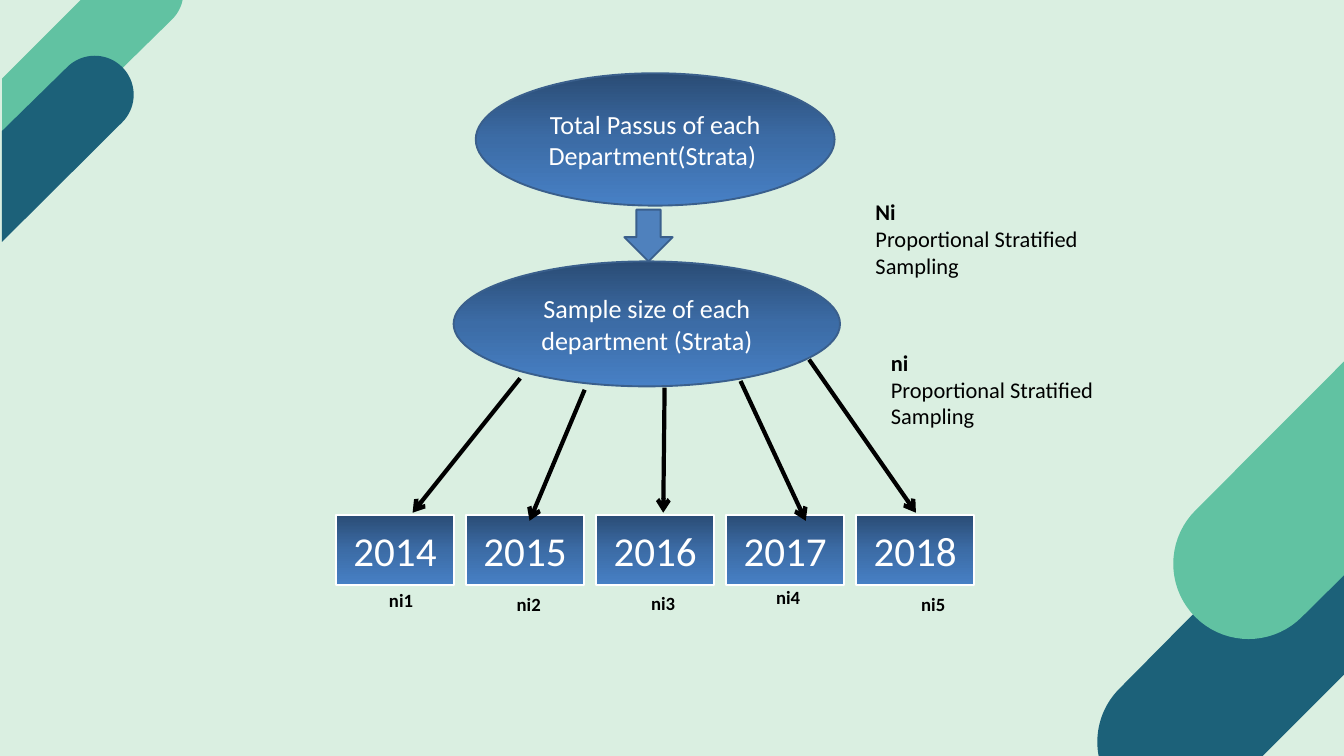
from copy import deepcopy
from math import cos, radians, sin

from pptx import Presentation
from pptx.dml.color import RGBColor
from pptx.enum.shapes import MSO_CONNECTOR, MSO_SHAPE
from pptx.enum.text import MSO_ANCHOR as ANCHOR, PP_ALIGN as ALIGN
from pptx.oxml.ns import qn
from pptx.util import Inches, Pt

MINT = RGBColor(0xDA, 0xEF, 0xE1)
GREEN = RGBColor(0x61, 0xC2, 0xA2)
TEAL = RGBColor(0x1C, 0x61, 0x79)
BLUE = RGBColor(0x4F, 0x81, 0xBD)
OUTLINE = RGBColor(0x3A, 0x5F, 0x8C)
SHADES = [RGBColor(0x2A, 0x4C, 0x75), RGBColor(0x3C, 0x6C, 0xA6), RGBColor(0x47, 0x80, 0xC5)]
WHITE = RGBColor(0xFF, 0xFF, 0xFF)
BLACK = RGBColor(0, 0, 0)

deck = Presentation()
deck.slide_width, deck.slide_height = Inches(20), Inches(11.25)
CELL = deck.slide_width // 20  # square grid: 20 columns, 11.25 rows
slide = deck.slides.add_slide(deck.slide_layouts[6])
slide.background.fill.solid()
slide.background.fill.fore_color.rgb = MINT
shapes = slide.shapes


def cells(*values):
    return [round(value * CELL) for value in values]


def write(frame, lines, **font_format):
    """Put (text, bold) lines into the frame, one paragraph each."""
    for index, (text, bold) in enumerate(lines):
        paragraph = frame.paragraphs[0] if index == 0 else frame.add_paragraph()
        run = paragraph.add_run()
        run.text = text
        run.font.color.rgb = font_format["color"]
        for name, value in {"name": "Calibri", "size": Pt(font_format["size"]), "bold": bold}.items():
            setattr(run.font, name, value)


# Diagonal bands: colour, centre and radius of the round end, arc angles, corners at the slide edge
bands = [
    (TEAL, 17.45, 11.04, 1.12, 169, 225, [(20, 6.87), (20, 10.04), (18.79, 11.25), (16.35, 11.25)]),
    (GREEN, 18.58, 8.39, 1.12, 45, 225, [(20, 5.38), (20, 8.56)]),
    (GREEN, 2.15, -0.12, 0.58, 12, 45, [(0.03, 2.77), (0.03, 1.17), (1.2, 0), (2.72, 0)]),
    (TEAL, 1.41, 1.41, 0.58, 225, 405, [(0.03, 3.6), (0.03, 1.95)]),
]
ARC_STEPS = 36
for color, x, y, radius, start, stop, corners in bands:
    angles = [radians(start + (stop - start) * step / ARC_STEPS) for step in range(ARC_STEPS + 1)]
    arc = [(x + radius * cos(angle), y + radius * sin(angle)) for angle in angles]
    # The last two bands list their corners in the order that follows the arc end
    outline = [cells(*point) for point in arc + corners]
    builder = shapes.build_freeform(*outline[0])
    builder.add_line_segments(outline[1:], close=True)
    band = builder.convert_to_shape()
    band.shadow.inherit = False
    band.fill.solid()
    band.fill.fore_color.rgb = color
    band.line.fill.background()

down_arrow = shapes.add_shape(MSO_SHAPE.DOWN_ARROW, *cells(9.29, 3.12, 0.72, 0.77))
down_arrow.shadow.inherit = False
down_arrow.fill.solid()
down_arrow.fill.fore_color.rgb = BLUE
down_arrow.line.color.rgb = OUTLINE
down_arrow.line.width = Pt(2)

# Year boxes and strata ellipses
FIRST_YEAR, YEARS = 2014, 5
YEAR_LEFT, YEAR_PITCH = 5, (12.74 - 5) / (YEARS - 1)
nodes = [
    (MSO_SHAPE.RECTANGLE, (YEAR_LEFT + YEAR_PITCH * index, 7.66, 1.76, 1.05),
     str(FIRST_YEAR + index), 44, WHITE)
    for index in range(YEARS)
] + [
    (MSO_SHAPE.OVAL, (7.08, 1.09, 5.34, 1.97), "Total Passus of each Department(Strata) ", 28, OUTLINE),
    (MSO_SHAPE.OVAL, (6.75, 3.89, 5.75, 1.86), "Sample size of each department (Strata)", 28, OUTLINE),
]
for kind, place, text, size, line_color in nodes:
    node = shapes.add_shape(kind, *cells(*place))
    node.shadow.inherit = False
    node.fill.gradient()
    node.fill.gradient_angle = 270
    stop_list = node._element.spPr.find(qn("a:gradFill")).find(qn("a:gsLst"))
    stop_list.insert(1, deepcopy(stop_list[0]))
    for stop, shade, position in zip(node.fill.gradient_stops, SHADES, (0, 0.5, 1)):
        stop.color.rgb = shade
        stop.position = position
    node.line.color.rgb = line_color
    node.line.width = Pt(2)
    node.text_frame.word_wrap = True
    node.text_frame.vertical_anchor = ANCHOR.MIDDLE
    write(node.text_frame, [(text, False)], size=size, color=WHITE)
    node.text_frame.paragraphs[0].alignment = ALIGN.CENTER

# Arrows from the sample ellipse down to the years
arrows = [
    (7.74, 5.63, 6.14, 7.63),
    (8.7, 5.8, 7.88, 7.75),
    (9.89, 5.77, 9.87, 7.63),
    (11.02, 5.67, 11.99, 7.75),
    (12.04, 5.35, 13.63, 7.63),
]
for ends in arrows:
    arrow = shapes.add_connector(MSO_CONNECTOR.STRAIGHT, *cells(*ends))
    arrow.line.color.rgb = BLACK
    arrow.line.width = Pt(4.5)
    properties = arrow._element.spPr
    head = properties.find(qn("a:ln")).makeelement(qn("a:tailEnd"), {"type": "arrow"})
    properties.find(qn("a:ln")).append(head)
    properties.append(properties.makeelement(qn("a:effectLst"), {}))

# Notes beside the ellipses and labels under the years
METHOD = ("Proportional Stratified Sampling", False)
captions = [
    ((12.93, 2.9, 3.33, 1.31), [("Ni", True), METHOD], 24),
    ((13.16, 5.14, 3.56, 1.31), [("ni", True), METHOD], 24),
]
label_corners = [(5.69, 8.72), (7.59, 8.77), (9.59, 8.76), (11.45, 8.67), (13.61, 8.77)]
for number, corner in enumerate(label_corners, 1):
    captions.append(((*corner, 0.58, 0.44), [(f"ni{number}", True)], 20))
for place, lines, size in captions:
    caption = shapes.add_textbox(*cells(*place))
    caption.text_frame.word_wrap = True
    write(caption.text_frame, lines, size=size, color=BLACK)

deck.save("out.pptx")
